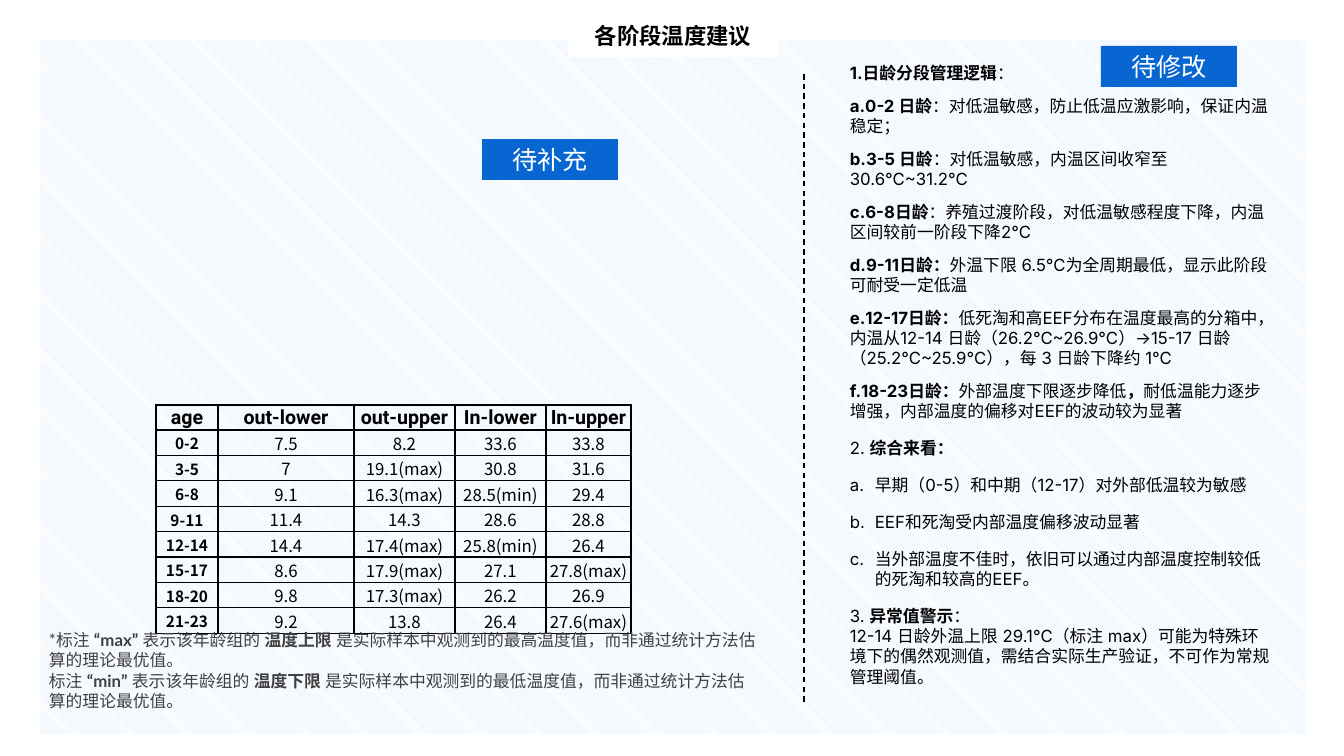
"""Build the slide of temperature advice for each growth stage."""
from lxml import etree
from pptx import Presentation
from pptx.dml.color import RGBColor
from pptx.enum.dml import MSO_LINE, MSO_PATTERN
from pptx.enum.shapes import MSO_CONNECTOR, MSO_SHAPE
from pptx.enum.text import MSO_ANCHOR, MSO_AUTO_SIZE, PP_ALIGN
from pptx.oxml.ns import qn
from pptx.util import Pt

RECT = MSO_SHAPE.RECTANGLE
STRAIGHT = MSO_CONNECTOR.STRAIGHT
DASH = MSO_LINE.DASH
HATCH = MSO_PATTERN.LIGHT_DOWNWARD_DIAGONAL
MIDDLE = MSO_ANCHOR.MIDDLE
CENTER = PP_ALIGN.CENTER
LEFT = PP_ALIGN.LEFT
NO_FIT = MSO_AUTO_SIZE.NONE

WIDE, HIGH = 1344, 756
SCALE = 12192000 / WIDE
BLACK, WHITE, BLUE, GREY = "000000", "FFFFFF", "0766D1", "404040"

TITLE = "各阶段温度建议"
TAGS = [("待修改", 1101, 46), ("待补充", 482, 139)]

HEAD = ["age", "out-lower", "out-upper", "In-lower", "In-upper"]
ROWS = [
    ["0-2", "7.5", "8.2", "33.6", "33.8"],
    ["3-5", "7", "19.1(max)", "30.8", "31.6"],
    ["6-8", "9.1", "16.3(max)", "28.5(min)", "29.4"],
    ["9-11", "11.4", "14.3", "28.6", "28.8"],
    ["12-14", "14.4", "17.4(max)", "25.8(min)", "26.4"],
    ["15-17", "8.6", "17.9(max)", "27.1", "27.8(max)"],
    ["18-20", "9.8", "17.3(max)", "26.2", "26.9"],
    ["21-23", "9.2", "13.8", "26.4", "27.6(max)"],
]
COLS = [62, 136, 101, 91, 85]
ROW_H = 25

# Text between ** marks is bold.
NOTES = [
    "*标注 **“max”** 表示该年龄组的 **温度上限** 是实际样本中观测到的最高温度值，而非通过统计方法估算的理论最优值。",
    "标注 **“min”** 表示该年龄组的 **温度下限 **是实际样本中观测到的最低温度值，而非通过统计方法估算的理论最优值。",
]
ADVICE = [
    ("point", "**日龄分段管理逻辑**："),
    ("stage", "**0-2 日龄**：对低温敏感，防止低温应激影响，保证内温稳定；"),
    ("stage", "**3-5 日龄**：对低温敏感，内温区间收窄至 30.6℃~31.2℃"),
    ("stage", "**6-8日龄**：养殖过渡阶段，对低温敏感程度下降，内温区间较前一阶段下降2℃"),
    ("stage", "**9-11日龄：**外温下限 6.5℃为全周期最低，显示此阶段可耐受一定低温"),
    ("stage", "**12-17日龄：**低死淘和高EEF分布在温度最高的分箱中，内温从12-14 日龄"
              "（26.2℃~26.9℃）→15-17 日龄（25.2℃~25.9℃），每 3 日龄下降约 1℃"),
    ("stage", "**18-23日龄：**外部温度下限逐步降低**，**耐低温能力逐步增强，"
              "内部温度的偏移对EEF的波动较为显著"),
    ("plain", "2. **综合来看：**"),
    ("item", "早期（0-5）和中期（12-17）对外部低温较为敏感"),
    ("item", "EEF和死淘受内部温度偏移波动显著"),
    ("item", "当外部温度不佳时，依旧可以通过内部温度控制较低的死淘和较高的EEF。"),
    ("plain", "3. **异常值警示**：\n12-14 日龄外温上限 29.1℃（标注 max）可能为特殊环境下的"
              "偶然观测值，需结合实际生产验证，不可作为常规管理阈值。"),
]
# Level, left margin, indent, space before, numbering.
STYLES = {
    "point": (0, 0, 0, 6, "arabicPeriod"),
    "stage": (1, 0, -31, 3, "alphaLcPeriod"),
    "plain": (0, 0, 0, 6, None),
    "item": (0, 25, -25, 6, "alphaLcPeriod"),
}


def px(n):
    return round(n * SCALE)


def box(*sides):
    return [px(n) for n in sides]


def color(code):
    return RGBColor.from_string(code)


def write(frame, lines, size=12, font="Inter", ink=BLACK, bold=False, align=LEFT):
    """Fill a text frame with lines whose bold parts sit between ** marks."""
    for i, line in enumerate(lines):
        para = frame.paragraphs[0] if i == 0 else frame.add_paragraph()
        para.alignment = align
        for j, part in enumerate(line.split("**")):
            for k, piece in enumerate(part.split("\n")):
                if k:
                    para.add_line_break()
                if not piece:
                    continue
                run = para.add_run()
                run.text = piece
                run.font.size = Pt(size)
                run.font.bold = bold or j % 2 == 1
                run.font.color.rgb = color(ink)
                run.font.name = font
                props = run.font._element
                etree.SubElement(props, qn("a:ea"), typeface=font)


def style(para, name, first):
    """Set the level, indent, spacing and numbering of a paragraph."""
    level, left, hang, before, number = STYLES[name]
    para.level = level
    para.space_after = Pt(6)
    if not first:
        para.space_before = Pt(before)
    props = para._p.get_or_add_pPr()
    props.set("marL", str(px(left)))
    props.set("indent", str(px(hang)))
    if number:
        etree.SubElement(props, qn("a:buAutoNum"), type=number)


def block(slide, sides, fill=None):
    """Add a rectangle with no outline or shadow."""
    shape = slide.shapes.add_shape(RECT, *box(*sides))
    shape.shadow.inherit = False
    shape.line.fill.background()
    if fill:
        shape.fill.solid()
        shape.fill.fore_color.rgb = color(fill)
    shape.text_frame.vertical_anchor = MIDDLE
    return shape


def edge(cell):
    """Draw thin black borders round a cell."""
    props = cell._tc.get_or_add_tcPr()
    for i, side in enumerate("LRTB"):
        line = etree.Element(qn("a:ln" + side), w=str(Pt(1)))
        fill = etree.SubElement(line, qn("a:solidFill"))
        etree.SubElement(fill, qn("a:srgbClr"), val=BLACK)
        props.insert(i, line)


def grid(slide):
    """Add the table of temperature bounds by age."""
    data = [HEAD] + ROWS
    sides = box(156, 405, sum(COLS), ROW_H * len(data))
    table = slide.shapes.add_table(len(data), len(COLS), *sides).table
    table.first_row = table.horz_banding = False
    for col, width in zip(table.columns, COLS):
        col.width = px(width)
    for r, row in enumerate(data):
        table.rows[r].height = px(ROW_H)
        for c, text in enumerate(row):
            cell = table.cell(r, c)
            cell.fill.background()
            cell.vertical_anchor = MIDDLE
            cell.margin_left = cell.margin_right = cell.margin_top = px(1)
            cell.margin_bottom = 0
            size = 14 if r == 0 else 11 if c == 0 else 12
            font = "Noto Sans CJK SC" if r else "Roboto"
            write(cell.text_frame, [text], size=size, font=font,
                  bold=r == 0 or c == 0, align=CENTER)
            edge(cell)


def main():
    """Lay out the slide and save it."""
    deck = Presentation()
    deck.slide_width, deck.slide_height = box(WIDE, HIGH)
    slide = deck.slides.add_slide(deck.slide_layouts[5])
    shapes = slide.shapes

    panel = block(slide, (40, 40, 1266, 694))
    panel.fill.patterned()
    panel.fill.pattern = HATCH
    panel.fill.fore_color.rgb = color("C4DEFD")
    panel.fill.back_color.rgb = color(WHITE)

    grid(slide)

    advice = shapes.add_textbox(*box(840, 39, 442, 694)).text_frame
    advice.word_wrap = True
    advice.margin_top = px(24)
    write(advice, [text for _, text in ADVICE])
    for i, (name, _) in enumerate(ADVICE):
        style(advice.paragraphs[i], name, i == 0)

    title = shapes.title
    title.left, title.top, title.width, title.height = box(568, 15, 210, 42)
    title.fill.solid()
    title.fill.fore_color.rgb = color(WHITE)
    title.text_frame.auto_size = NO_FIT
    title.text_frame.vertical_anchor = MIDDLE
    write(title.text_frame, [TITLE], size=16, font="Roboto", bold=True, align=CENTER)
    shapes._spTree.append(title._element)

    rule = shapes.add_connector(STRAIGHT, *box(804, 74, 804, 703))
    rule.line.color.rgb = color(BLACK)
    rule.line.width = Pt(1)
    rule.line.dash_style = DASH
    etree.SubElement(rule._element.spPr, qn("a:effectLst"))

    for text, left, top in TAGS:
        tag = block(slide, (left, top, 136, 41), BLUE)
        write(tag.text_frame, [text], size=18, font="Roboto", ink=WHITE, align=CENTER)

    notes = shapes.add_textbox(*box(39, 625, 730, 92)).text_frame
    notes.word_wrap = True
    write(notes, NOTES, font="Lato", ink=GREY)

    deck.save("out.pptx")


if __name__ == "__main__":
    main()
